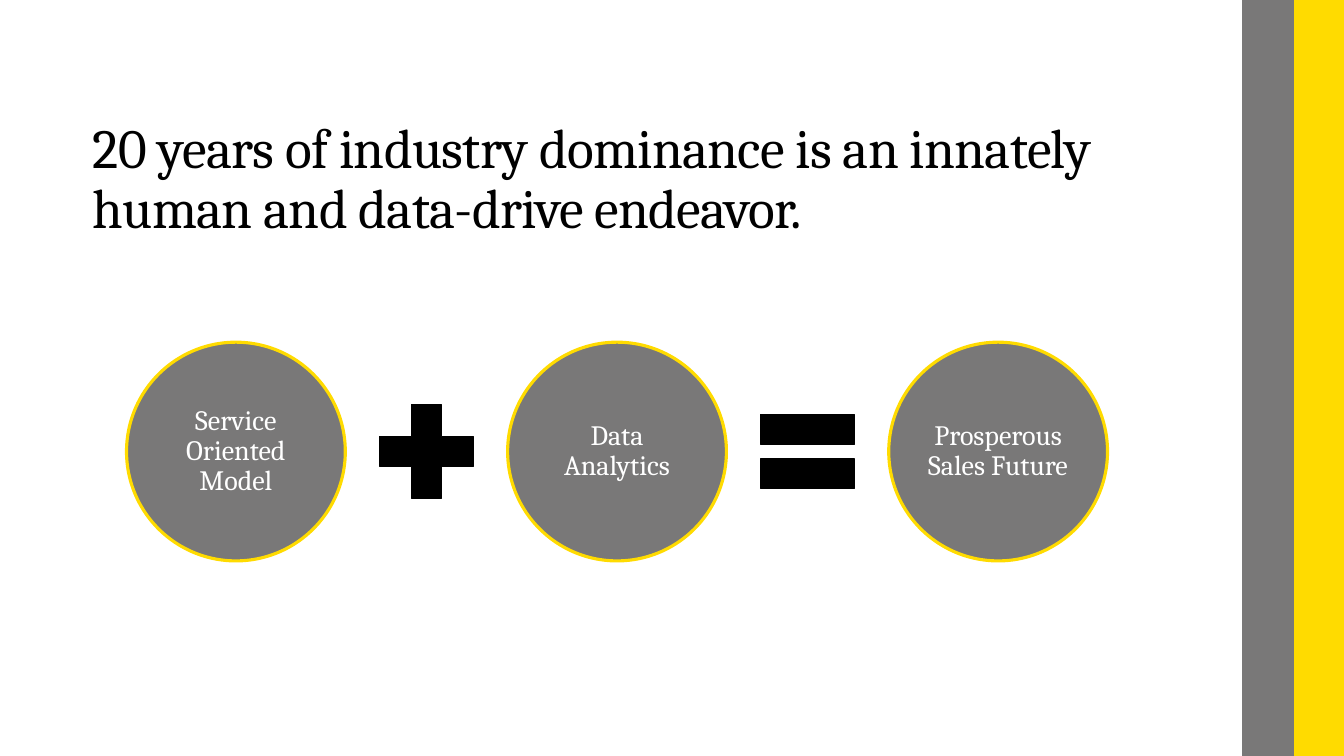
import pptx
import pptx.dml.color
import pptx.enum.shapes
import pptx.enum.text
import pptx.util

SHAPE = pptx.enum.shapes.MSO_SHAPE
ANCHOR = pptx.enum.text.MSO_ANCHOR
ALIGN = pptx.enum.text.PP_ALIGN
Inches = pptx.util.Inches
Pt = pptx.util.Pt

WIDTH, HEIGHT = 13.33, 7.5
BAND = 0.5                      # width of each band at the right edge
FIRST_X, STEP = 2.34, 1.89      # centres of the equation's parts
CENTRE_Y = 4.48
CIRCLE, SIGN = 2.17, 1.26       # diameters

GREY, YELLOW, BLACK, WHITE = "797878", "FFDB00", "000000", "FFFFFF"


def rgb(value):
    return pptx.dml.color.RGBColor.from_string(value)


def set_text(sp, text, size, color, align=ALIGN.LEFT, anchor=ANCHOR.MIDDLE,
             inset=0.1, spacing=0):
    tf = sp.text_frame
    tf.word_wrap = True
    tf.vertical_anchor = anchor
    tf.margin_left = tf.margin_right = Inches(inset)
    tf.margin_top = tf.margin_bottom = Inches(min(inset, 0.05))
    p = tf.paragraphs[0]
    p.alignment = align
    p.line_spacing = 0.9
    r = p.add_run()
    r.text = text
    r.font.name = "Cambria"
    r.font.size = Pt(size)
    r.font.color.rgb = rgb(color)
    if spacing:
        # Letter spacing in hundredths of a point
        r.font._element.set("spc", str(spacing))


def add_shape(s, kind, x, y, w, h, fill, line, weight):
    sp = s.shapes.add_shape(kind, Inches(x), Inches(y), Inches(w), Inches(h))
    sp.shadow.inherit = False
    sp.fill.solid()
    sp.fill.fore_color.rgb = rgb(fill)
    sp.line.color.rgb = rgb(line)
    sp.line.width = Pt(weight)
    return sp


def add_part(s, index, kind, size, fill, line, weight):
    """Centre one part of the equation on its place in the row."""
    x = FIRST_X + index * STEP
    return add_shape(s, kind, x - size / 2, CENTRE_Y - size / 2, size, size,
                     fill, line, weight)


def main():
    prs = pptx.Presentation()
    prs.slide_width, prs.slide_height = Inches(WIDTH), Inches(HEIGHT)
    s = prs.slides.add_slide(prs.slide_layouts[6])

    # Bands along the right edge
    for place, color in enumerate((YELLOW, GREY), start=1):
        add_shape(s, SHAPE.RECTANGLE, WIDTH - place * BAND, 0, BAND, HEIGHT,
                  color, color, 1.1)

    # Title
    title = s.shapes.add_textbox(Inches(0.82), Inches(0.44),
                                 Inches(10.6), Inches(1.99))
    set_text(title, "20 years of industry dominance is an innately human and "
             "data-drive endeavor.", 39.6, BLACK, anchor=ANCHOR.BOTTOM,
             spacing=-50)

    # Terms of the equation
    terms = ("Service Oriented Model", "Data Analytics",
             "Prosperous Sales Future")
    for i, term in enumerate(terms):
        sp = add_part(s, 2 * i, SHAPE.OVAL, CIRCLE, GREY, YELLOW, 2.25)
        set_text(sp, term, 20, WHITE, align=ALIGN.CENTER, inset=0.03)

    # Signs between the terms
    for i, sign in enumerate((SHAPE.MATH_PLUS, SHAPE.MATH_EQUAL)):
        add_part(s, 2 * i + 1, sign, SIGN, BLACK, BLACK, 0.75)

    prs.save("out.pptx")


if __name__ == "__main__":
    main()
